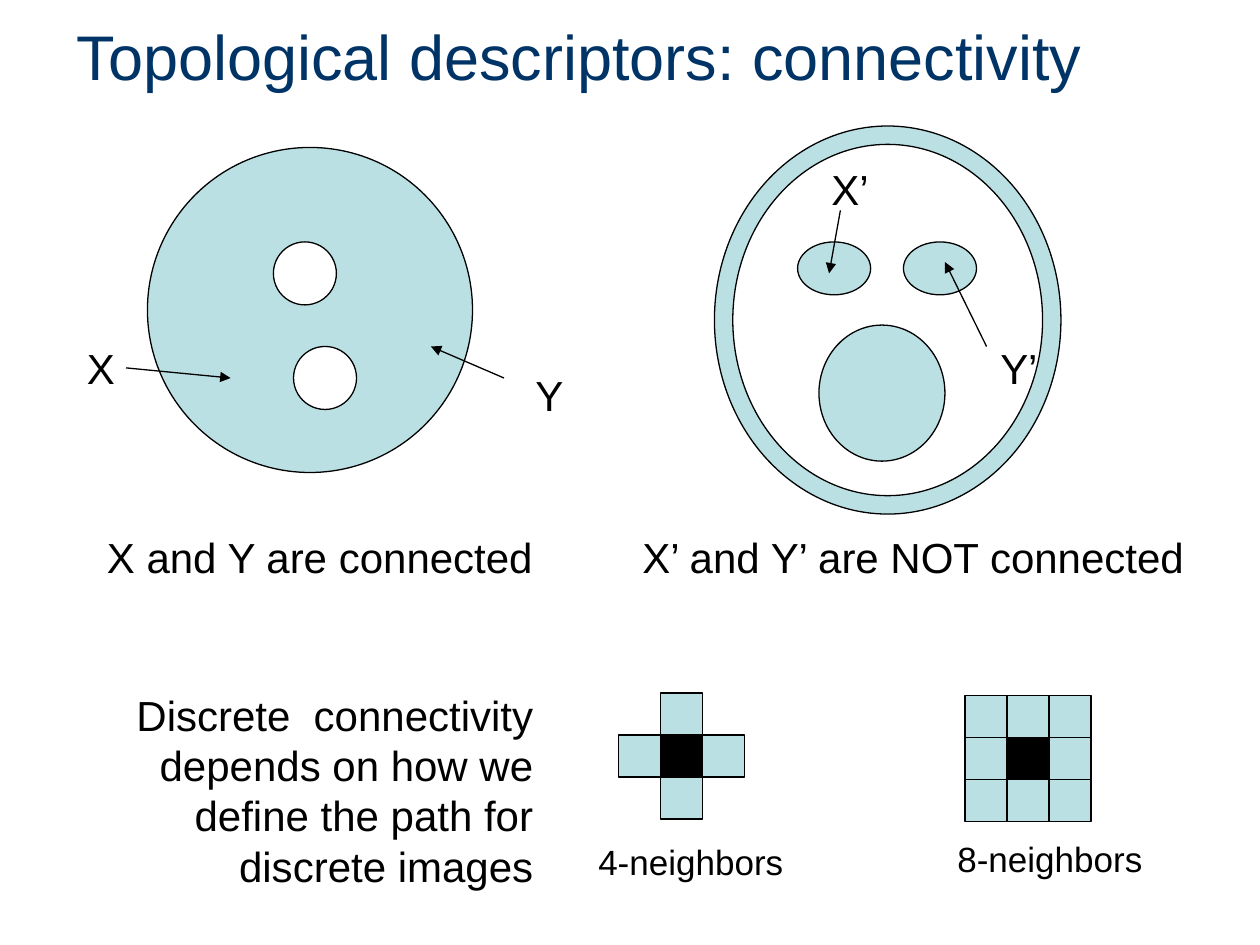
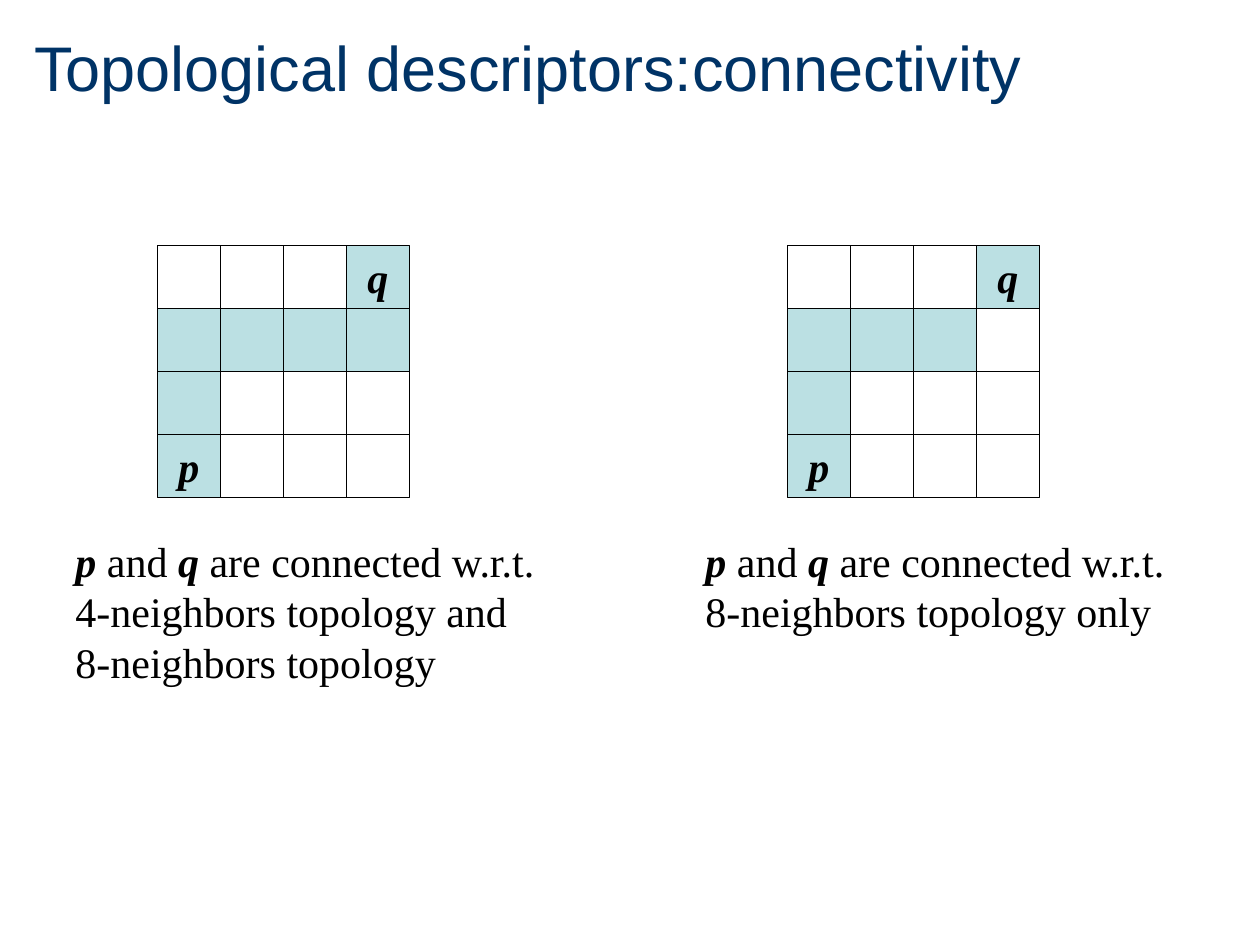
from dataclasses import dataclass

from lxml import etree
from pptx import Presentation
from pptx import util as u
from pptx.dml.color import RGBColor
from pptx.enum import shapes, text
from pptx.oxml.ns import qn

NAVY, AQUA, BLACK, WHITE = "003366", "BBE0E3", "000000", "FFFFFF"
SANS, SERIF = "Arial", "Times New Roman"
LINE_WIDTH = u.Pt(0.75)
OVAL, RING, SQUARE = (shapes.MSO_SHAPE.OVAL, shapes.MSO_SHAPE.DONUT,
                      shapes.MSO_SHAPE.RECTANGLE)


@dataclass
class Span:
    words: str
    strong: bool = False  # bold italic, for the pixel names


@dataclass
class Label:
    lines: list[list[Span]]
    left: float
    top: float
    width: float
    height: float
    size: int = 24
    font: str = SANS
    align: text.PP_ALIGN = text.PP_ALIGN.LEFT
    wrap: bool = False


@dataclass
class Figure:
    kind: shapes.MSO_SHAPE
    left: float
    top: float
    width: float
    height: float
    fill: str | None = AQUA


@dataclass
class Arrow:
    start: tuple[float, float]
    end: tuple[float, float]


@dataclass
class PixelGrid:
    """Rows of cells: '.' empty, 'o' aqua, '#' black, '-' no cell, a letter names an aqua cell."""
    left: float
    top: float
    cell: float
    rows: list[str]


def colour(value: str) -> RGBColor:
    return RGBColor.from_string(value)


def add_span(para, span: Span, size: int, font: str, ink: str = BLACK) -> None:
    run = para.add_run()
    run.text = span.words
    run.font.size = u.Pt(size)
    run.font.name = font
    run.font.bold = run.font.italic = span.strong
    run.font.color.rgb = colour(ink)


def add_title_page(deck, words: str, left: float, top: float, width: float):
    page = deck.slides.add_slide(deck.slide_layouts[5])
    title = page.shapes.title
    title.left, title.top = u.Inches(left), u.Inches(top)
    title.width, title.height = u.Inches(width), u.Inches(0.63)
    frame = title.text_frame
    frame.auto_size = text.MSO_AUTO_SIZE.NONE
    frame.vertical_anchor = text.MSO_ANCHOR.MIDDLE
    para = frame.paragraphs[0]
    para.alignment = text.PP_ALIGN.LEFT
    add_span(para, Span(words), 36, SANS, NAVY)
    return page


def add_label(page, label: Label) -> None:
    box = page.shapes.add_textbox(u.Inches(label.left), u.Inches(label.top),
                                  u.Inches(label.width), u.Inches(label.height))
    frame = box.text_frame
    frame.word_wrap = label.wrap
    frame.auto_size = text.MSO_AUTO_SIZE.SHAPE_TO_FIT_TEXT
    para = frame.paragraphs[0]
    para.alignment = label.align
    for number, line in enumerate(label.lines):
        if number:
            para.add_line_break()
        for span in line:
            add_span(para, span, label.size, label.font)


def add_figure(page, figure: Figure):
    shape = page.shapes.add_shape(figure.kind, u.Inches(figure.left), u.Inches(figure.top),
                                  u.Inches(figure.width), u.Inches(figure.height))
    shape.shadow.inherit = False
    if figure.fill:
        shape.fill.solid()
        shape.fill.fore_color.rgb = colour(figure.fill)
    else:
        shape.fill.background()
    shape.line.color.rgb = colour(BLACK)
    shape.line.width = LINE_WIDTH
    return shape


def add_arrow(page, arrow: Arrow) -> None:
    ends = [u.Inches(value) for value in (*arrow.start, *arrow.end)]
    line = page.shapes.add_connector(shapes.MSO_CONNECTOR.STRAIGHT, *ends)
    line.line.color.rgb = colour(BLACK)
    line.line.width = LINE_WIDTH
    etree.SubElement(line.line._get_or_add_ln(), qn("a:tailEnd"), type="triangle")
    etree.SubElement(line._element.spPr, qn("a:effectLst"))


def add_grid(page, grid: PixelGrid) -> None:
    fills = {".": None, "#": BLACK}
    for row, marks in enumerate(grid.rows):
        for column, mark in enumerate(marks):
            if mark == "-":
                continue
            pixel = add_figure(page, Figure(SQUARE, grid.left + column * grid.cell,
                                            grid.top + row * grid.cell, grid.cell,
                                            grid.cell, fills.get(mark, AQUA)))
            if mark in "pq":
                frame = pixel.text_frame
                frame.word_wrap = False
                frame.vertical_anchor = text.MSO_ANCHOR.MIDDLE
                para = frame.paragraphs[0]
                para.alignment = text.PP_ALIGN.CENTER
                add_span(para, Span(mark, True), 24, SERIF)


def build_regions_page(deck) -> None:
    page = add_title_page(deck, "Topological descriptors: connectivity", 0.51, 0.12, 8.4)

    eyes = [Figure(OVAL, left, 1.92, 0.58, 0.42) for left in (6.33, 7.17)]
    disc = Figure(OVAL, 1.17, 1.17, 2.58, 2.58)
    holes = [Figure(OVAL, left, top, 0.5, 0.5, WHITE)
             for left, top in ((2.17, 1.92), (2.33, 2.75))]
    for figure in (*eyes, disc, *holes):
        add_figure(page, figure)

    for arrow in (Arrow((1, 2.92), (1.83, 3)), Arrow((4, 3), (3.42, 2.75)),
                  Arrow((6.67, 1.67), (6.58, 2.17)), Arrow((7.83, 2.75), (7.5, 2.08))):
        add_arrow(page, arrow)

    for name, left, top, width in (("X", 0.59, 2.67, 0.42), ("Y", 4.15, 2.88, 0.42),
                                   ("X’", 6.5, 1.25, 0.52), ("Y’", 7.84, 2.67, 0.52),
                                   ("X and Y are connected", 0.75, 4.17, 3.59),
                                   ("X’ and Y’ are NOT connected", 5, 4.17, 4.53)):
        add_label(page, Label([[Span(name)]], left, top, width, 0.5))

    add_figure(page, Figure(OVAL, 6.5, 2.58, 1, 1.08))
    ring = add_figure(page, Figure(RING, 5.67, 1, 2.75, 3.08))
    ring.adjustments[0] = 0.053

    add_label(page, Label([[Span("Discrete  connectivity depends on how we define "
                                 "the path for discrete images")]],
                          0.25, 5.42, 4.08, 1.7, align=text.PP_ALIGN.RIGHT, wrap=True))
    add_grid(page, PixelGrid(4.91, 5.5, 1 / 3, ["-o-", "o#o", "-o-"]))
    add_grid(page, PixelGrid(7.66, 5.52, 1 / 3, ["ooo", "o#o", "ooo"]))
    for name, left, top in (("4-neighbors", 4.65, 6.62), ("8-neighbors", 7.5, 6.6)):
        add_label(page, Label([[Span(name)]], left, top, 1.67, 0.44, size=20))


def build_pixels_page(deck) -> None:
    page = add_title_page(deck, "Topological descriptors:connectivity", 0.17, 0.21, 8.82)
    opening = [Span("p ", True), Span("and "), Span("q ", True)]
    both = [[*opening, Span("are connected w.r.t. 4-neighbors topology and")],
            [Span("8-neighbors topology")]]
    only_eight = [[*opening, Span("are connected w.r.t. 8-neighbors topology only")]]
    for left, second_row, lines, height in ((0.5, "oooo", both, 1.3),
                                            (5.5, "ooo.", only_eight, 0.9)):
        add_grid(page, PixelGrid(left + 0.75, 1.95, 0.5,
                                 ["...q", second_row, "o...", "p..."]))
        add_label(page, Label(lines, left, 4.2, 4.08, height, font=SERIF, wrap=True))


def main() -> None:
    deck = Presentation()
    deck.slide_width, deck.slide_height = u.Inches(10), u.Inches(7.5)
    build_regions_page(deck)
    build_pixels_page(deck)
    deck.save("out.pptx")


if __name__ == "__main__":
    main()
